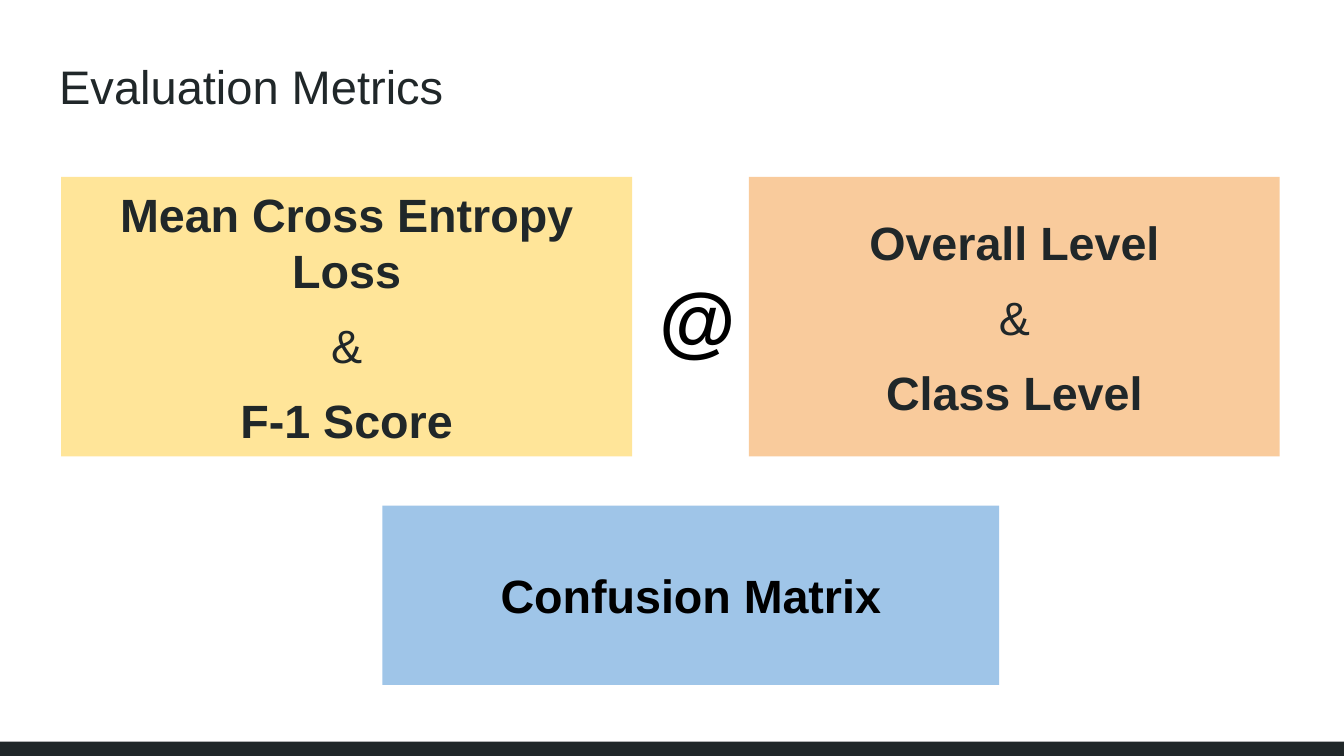
import pptx
import pptx.dml.color
import pptx.enum.shapes
import pptx.enum.text
import pptx.util

INK, BLACK = "202729", "000000"
ALIGN = pptx.enum.text.PP_ALIGN
ANCHOR = pptx.enum.text.MSO_ANCHOR

presentation = pptx.Presentation()
presentation.slide_width = pptx.util.Inches(10)
presentation.slide_height = presentation.slide_width * 9 // 16
slide = presentation.slides.add_slide(presentation.slide_layouts[5])


def place(shape, area, fill=None):
    """Position a shape by percentages of the slide and optionally fill it."""
    left, top, width, height = area
    position = {
        "left": left * presentation.slide_width,
        "top": top * presentation.slide_height,
        "width": width * presentation.slide_width,
        "height": height * presentation.slide_height,
    }
    for name, value in position.items():
        setattr(shape, name, round(value / 100))
    if fill:
        shape.shadow.inherit = False
        shape.fill.solid()
        shape.fill.fore_color.rgb = pptx.dml.color.RGBColor.from_string(fill)
        shape.line.fill.background()


def write(shape, lines, size, color, bold=True, align=ALIGN.CENTER,
          anchor=ANCHOR.MIDDLE):
    frame = shape.text_frame
    frame_format = {"word_wrap": True, "vertical_anchor": anchor,
                    "auto_size": pptx.enum.text.MSO_AUTO_SIZE.NONE}
    for side in ("left", "top", "right", "bottom"):
        frame_format[f"margin_{side}"] = pptx.util.Inches(0.1)
    for name, value in frame_format.items():
        setattr(frame, name, value)
    frame.text = "\n".join(lines)
    for index, paragraph in enumerate(frame.paragraphs):
        paragraph.alignment = align
        paragraph.space_before = pptx.util.Pt(10 if index else 0)
        font_format = {"name": "Arial", "size": pptx.util.Pt(size),
                       "bold": bold and paragraph.text != "&"}
        for run in paragraph.runs:
            for name, value in font_format.items():
                setattr(run.font, name, value)
            run.font.color.rgb = pptx.dml.color.RGBColor.from_string(color)


title = slide.shapes.title
place(title, (3.4, 5.87, 93.2, 11.2))
write(title, ["Evaluation Metrics"], 25.2, INK, bold=False,
      align=ALIGN.LEFT, anchor=ANCHOR.TOP)

# Area in percent of the slide, fill, text colour, lines
panels = [
    ((0, 98.1, 100, 1.9), INK, INK, []),
    ((4.54, 23.4, 42.5, 37), "FFE599", INK,
     ["Mean Cross Entropy Loss", "&", "F-1 Score"]),
    ((55.72, 23.4, 39.5, 37), "F9CB9C", INK,
     ["Overall Level", "&", "Class Level"]),
    ((28.45, 66.9, 45.9, 23.7), "9FC5E8", BLACK, ["Confusion Matrix"]),
]
for area, fill, color, lines in panels:
    panel = slide.shapes.add_shape(
        pptx.enum.shapes.MSO_SHAPE.RECTANGLE, 0, 0, 0, 0)
    place(panel, area, fill)
    if lines:
        write(panel, lines, 25, color)

at_sign = slide.shapes.add_textbox(0, 0, 0, 0)
place(at_sign, (48.1, 36.65, 6.7, 10.5))
write(at_sign, ["@"], 42, BLACK)

presentation.save("out.pptx")
